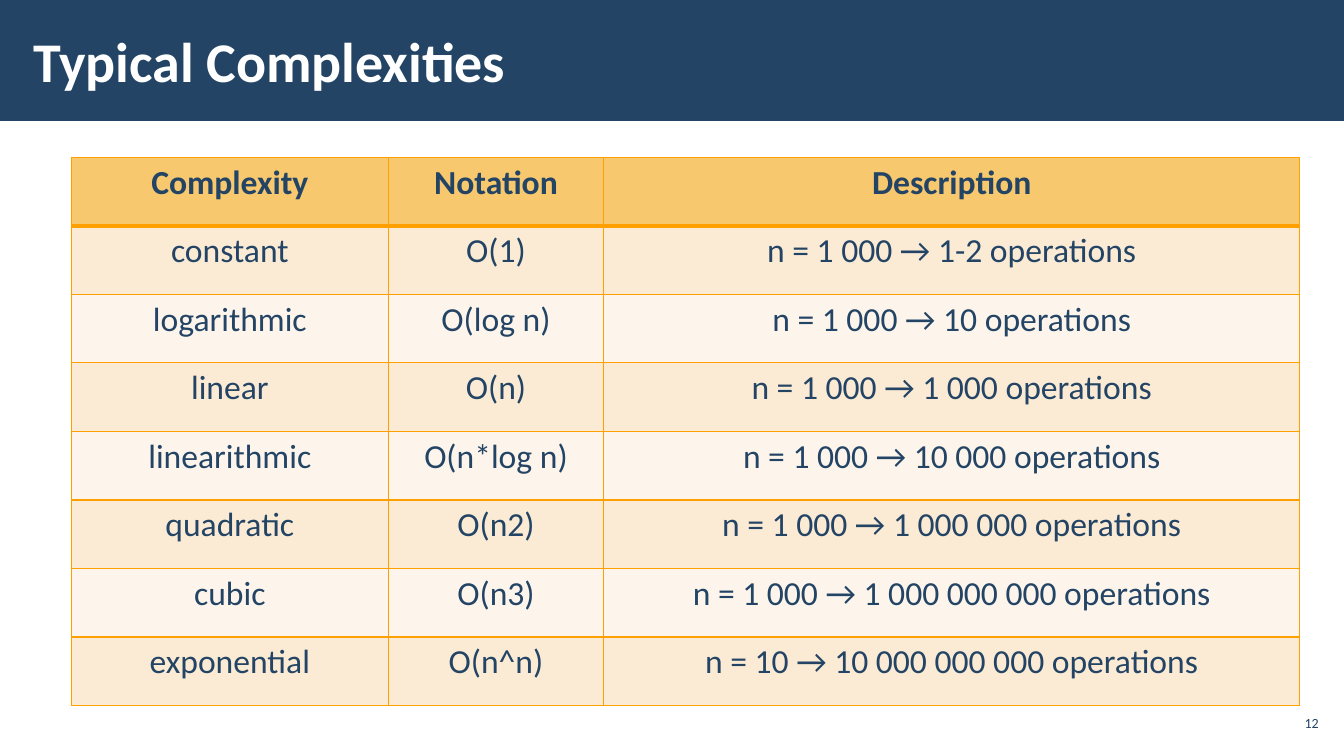
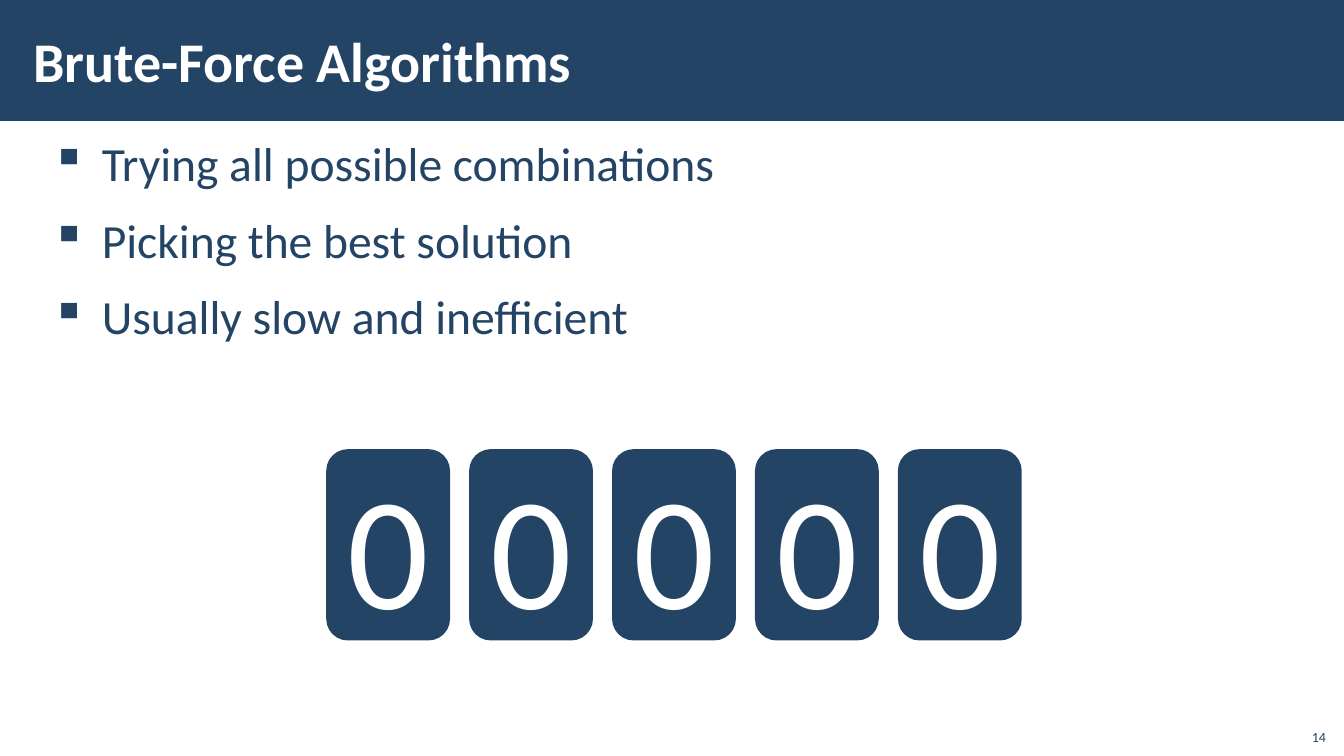
import dataclasses

import pptx
import pptx.dml.color
import pptx.enum.shapes
import pptx.enum.text
import pptx.oxml
import pptx.oxml.ns
import pptx.util

Inches = pptx.util.Inches
Pt = pptx.util.Pt
Align = pptx.enum.text.PP_ALIGN
Anchor = pptx.enum.text.MSO_ANCHOR
Shape = pptx.enum.shapes.MSO_SHAPE


@dataclasses.dataclass(frozen=True)
class Theme:
    face: str = "Calibri"
    navy: str = "234465"
    white: str = "FFFFFF"
    rule: str = "FFA000"
    head: str = "F7C86D"
    bands: tuple = ("FCEBD4", "FDF5EB")
    title: int = 40
    body: int = 34
    cell: int = 24
    digit: int = 115
    page: int = 10


def tint(item, color):
    item.fill.solid()
    item.fill.fore_color.rgb = pptx.dml.color.RGBColor.from_string(color)


def apply(target, **values):
    for name, value in values.items():
        setattr(target, name, value)


def xml(tag, inner="", **attrs):
    """Make a DrawingML element from a tag, inner markup and attributes."""
    pairs = "".join(f' {name}="{value}"' for name, value in attrs.items())
    space = pptx.oxml.ns.nsdecls("a")
    return pptx.oxml.parse_xml(f"<a:{tag} {space}{pairs}>{inner}</a:{tag}>")


class Deck:
    def __init__(self, theme):
        self.theme = theme
        self.show = pptx.Presentation()
        apply(self.show, slide_width=Inches(13.33), slide_height=Inches(7.5))
        self.slide = None

    def start(self, title):
        """Add a slide with the title band."""
        self.slide = self.show.slides.add_slide(self.show.slide_layouts[6])
        self.block(Shape.RECTANGLE, 0, 0, 13.33, 1.2)
        self.text([title], 0.21, 0.11, 10.4, 0.97, self.theme.title,
                  self.theme.white, bold=True, inset=(0.12, 0.04))

    def label(self, frame, lines, size, color, bold=False, **form):
        """Fill a text frame; form holds paragraph format values."""
        for i, line in enumerate(lines):
            para = frame.add_paragraph() if i else frame.paragraphs[0]
            apply(para, **form)
            run = para.add_run()
            run.text = line
            apply(run.font, name=self.theme.face, size=Pt(size), bold=bold)
            run.font.color.rgb = pptx.dml.color.RGBColor.from_string(color)

    def text(self, lines, x, y, w, h, size, color, bold=False,
             anchor=Anchor.MIDDLE, inset=(0.1, 0.05), **form):
        box = self.slide.shapes.add_textbox(*map(Inches, (x, y, w, h)))
        frame = box.text_frame
        side, edge = map(Inches, inset)
        apply(frame, word_wrap=True, vertical_anchor=anchor,
              margin_left=side, margin_right=side,
              margin_top=edge, margin_bottom=edge)
        self.label(frame, lines, size, color, bold, **form)
        return frame

    def page(self, number, *place, **style):
        self.text([str(number)], *place, self.theme.page, self.theme.navy,
                  alignment=Align.RIGHT, **style)

    def bullets(self, lines, *place):
        frame = self.text(lines, *place, self.theme.body, self.theme.navy,
                          anchor=Anchor.TOP, inset=(0.12, 0.04),
                          line_spacing=1.05, space_before=Pt(6),
                          space_after=Pt(6))
        hang = Inches(0.5)
        for para in frame.paragraphs:
            props = para._p.get_or_add_pPr()
            for name, value in {"marL": hang, "indent": -hang}.items():
                props.set(name, str(int(value)))
            props.append(xml("buChar", char="▪"))

    def block(self, kind, x, y, w, h, line=0):
        shape = self.slide.shapes.add_shape(kind, *map(Inches, (x, y, w, h)))
        shape.shadow.inherit = False
        tint(shape, self.theme.navy)
        if line:
            tint(shape.line, self.theme.navy)
            shape.line.width = Pt(line)
        else:
            shape.line.fill.background()
        return shape

    def digit(self, mark, *place):
        frame = self.block(Shape.ROUNDED_RECTANGLE, *place, line=2).text_frame
        apply(frame, word_wrap=True, vertical_anchor=Anchor.MIDDLE)
        self.label(frame, [mark], self.theme.digit, self.theme.white,
                   alignment=Align.CENTER)

    def edges(self, cell, **widths):
        """Draw cell borders, given as side letter and width in points."""
        props = cell._tc.get_or_add_tcPr()
        fill = f'<a:solidFill><a:srgbClr val="{self.theme.rule}"/></a:solidFill>'
        for i, (side, width) in enumerate(widths.items()):
            props.insert(i, xml(f"ln{side}", fill, w=int(Pt(width))))

    def table(self, rows, x, y, cols, tall):
        place = map(Inches, (x, y, sum(cols), tall * len(rows)))
        grid = self.slide.shapes.add_table(len(rows), len(cols), *place).table
        apply(grid, first_row=False, horz_banding=False)
        for col, width in zip(grid.columns, cols):
            col.width = Inches(width)
        for r, row in enumerate(rows):
            grid.rows[r].height = Inches(tall)
            color = self.theme.bands[(r - 1) % 2] if r else self.theme.head
            for c, words in enumerate(row):
                cell = grid.cell(r, c)
                self.label(cell.text_frame, [words], self.theme.cell,
                           self.theme.navy, r == 0, alignment=Align.CENTER)
                tint(cell, color)
                self.edges(cell, L=1, R=1, T=3 if r == 1 else 1,
                           B=1 if r else 3)


def main():
    deck = Deck(Theme())

    deck.start("Typical Complexities")
    deck.page(12, 12.65, 7, 0.47, 0.34, inset=(0.04, 0.04))
    deck.table([
        ("Complexity", "Notation", "Description"),
        ("constant", "O(1)", "n = 1 000 → 1-2 operations"),
        ("logarithmic", "O(log n)", "n = 1 000 → 10 operations"),
        ("linear", "O(n)", "n = 1 000 → 1 000 operations"),
        ("linearithmic", "O(n*log n)", "n = 1 000 → 10 000 operations"),
        ("quadratic", "O(n2)", "n = 1 000 → 1 000 000 operations"),
        ("cubic", "O(n3)", "n = 1 000 → 1 000 000 000 operations"),
        ("exponential", "O(n^n)", "n = 10 → 10 000 000 000 operations"),
    ], 0.71, 1.56, (3.14, 2.14, 6.9), 0.68)

    deck.start("Brute-Force Algorithms")
    deck.bullets(["Trying all possible combinations",
                  "Picking the best solution",
                  "Usually slow and inefficient"], 0.39, 1.26, 7.36, 2.66)
    first, last = 3.25, 8.92
    code = "00000"
    step = (last - first) / (len(code) - 1)
    for i, mark in enumerate(code):
        deck.digit(mark, first + i * step, 4.47, 1.2, 1.87)
    deck.page(14, 12.85, 7.12, 0.4, 0.32, anchor=Anchor.BOTTOM)

    deck.show.save("out.pptx")


if __name__ == "__main__":
    main()
